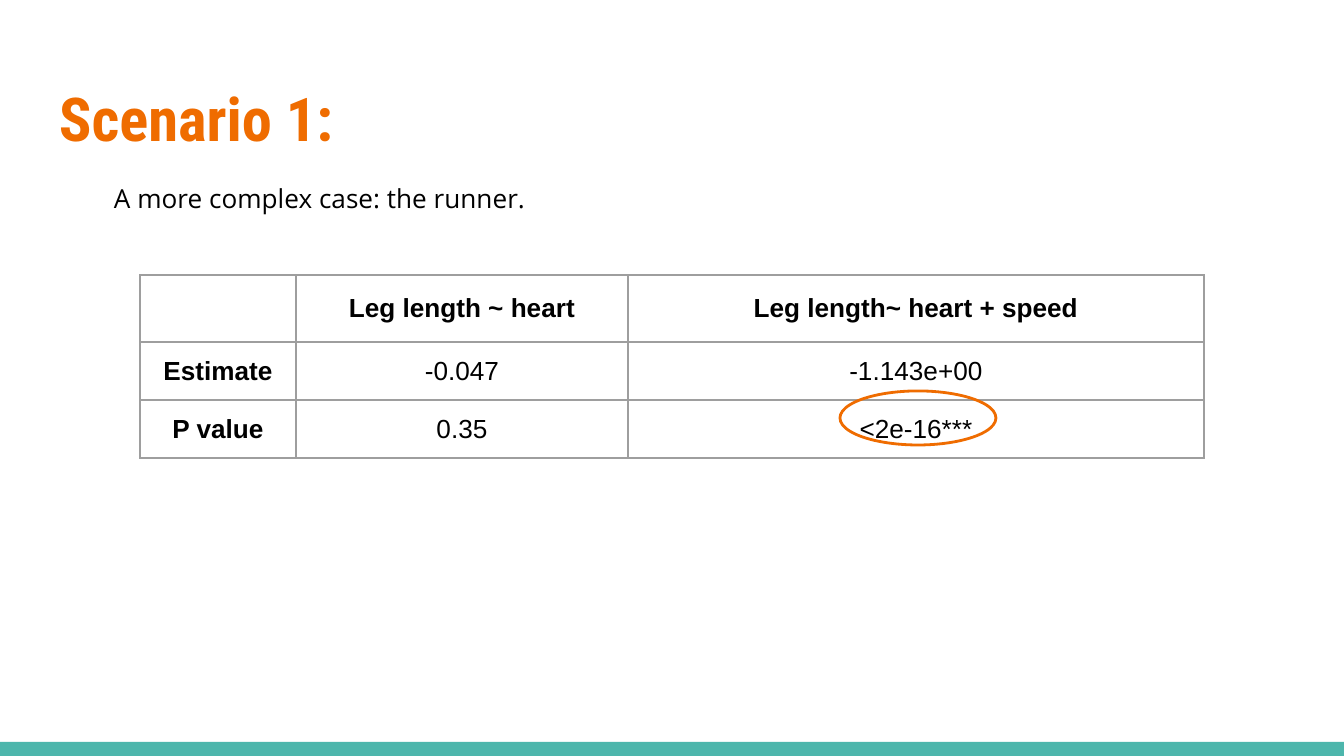
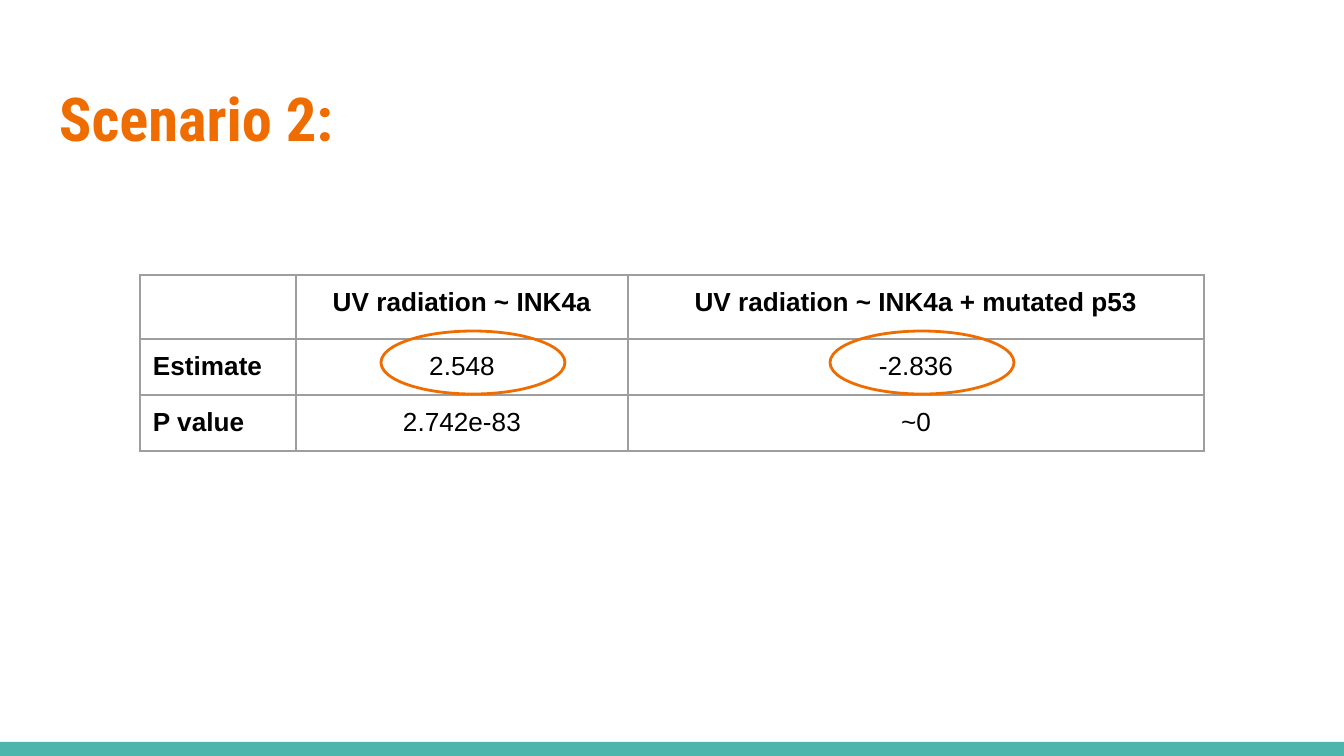
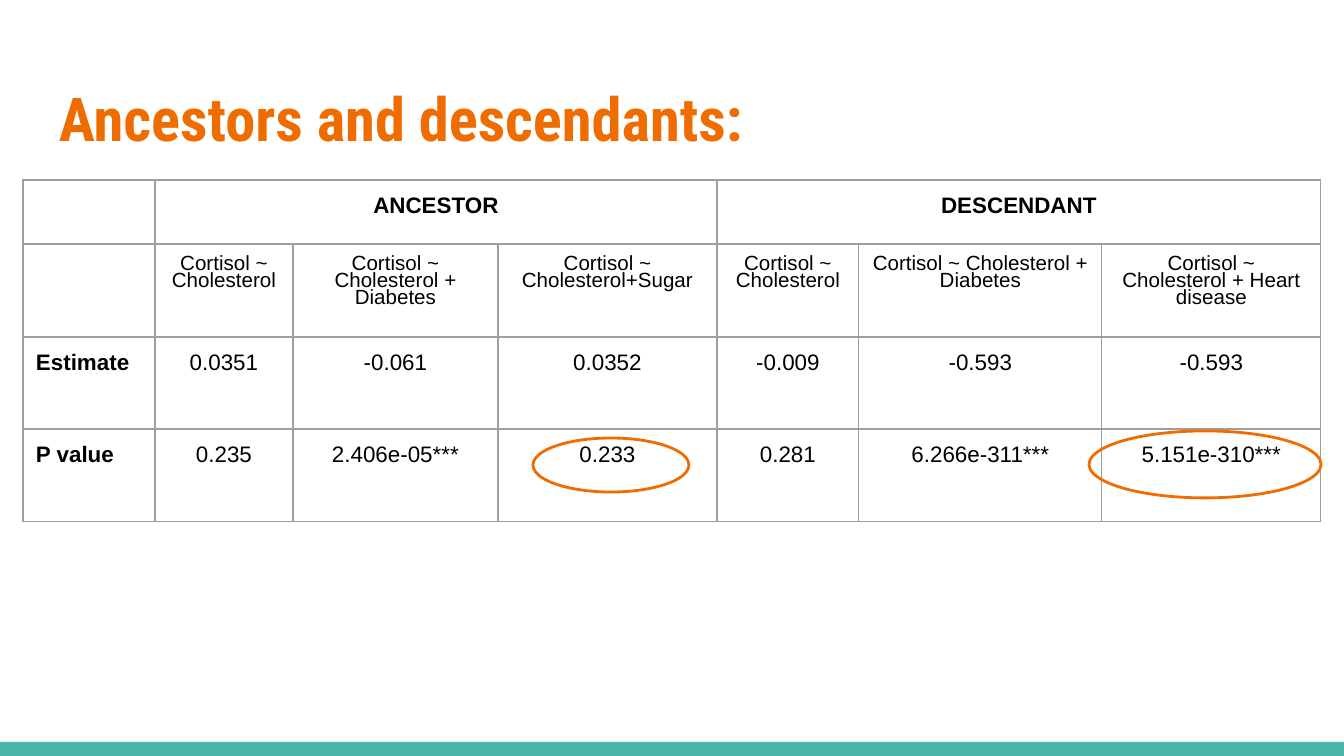
from pptx import Presentation
from pptx import util as u
from pptx.dml.color import RGBColor
from pptx.enum import shapes, text
from pptx.oxml import parse_xml
from pptx.oxml.ns import nsdecls

SCALE = 9144000 / 1344
WIDTH, HEIGHT = 1344, 756
INSET = 13

WHITE = RGBColor(0xFF, 0xFF, 0xFF)
BLACK = RGBColor(0x00, 0x00, 0x00)
ORANGE = RGBColor(0xEF, 0x6C, 0x00)
TEAL = RGBColor(0x4D, 0xB6, 0xAC)
GREY = RGBColor(0x9E, 0x9E, 0x9E)

TITLE_FONT = {"name": "Roboto Condensed", "size": u.Pt(32.4), "bold": True}
BODY_FONT = {"name": "Open Sans", "size": u.Pt(14)}

LEFT, CENTER = text.PP_ALIGN.LEFT, text.PP_ALIGN.CENTER
TOP, MIDDLE = text.MSO_ANCHOR.TOP, text.MSO_ANCHOR.MIDDLE

SCENARIO_COLS = (156, 332, 576)
SCENARIO_AT = (140, 275)

RUNNER_ROWS = (
    ("", "Leg length ~ heart", "Leg length~ heart + speed"),
    ("Estimate", "-0.047", "-1.143e+00"),
    ("P value", "0.35", "<2e-16***"),
)
UV_ROWS = (
    ("", "UV radiation ~ INK4a", "UV radiation ~ INK4a + mutated p53"),
    ("Estimate", "2.548", "-2.836"),
    ("P value", "2.742e-83", "~0"),
)
CORTISOL_ROWS = (
    ("", "ANCESTOR", "", "", "DESCENDANT", "", ""),
    ("", "Cortisol ~ Cholesterol", "Cortisol ~ Cholesterol + Diabetes",
     "Cortisol ~ Cholesterol+Sugar", "Cortisol ~ Cholesterol",
     "Cortisol ~ Cholesterol + Diabetes",
     "Cortisol ~ Cholesterol + Heart disease"),
    ("Estimate", "0.0351", "-0.061", "0.0352", "-0.009", "-0.593", "-0.593"),
    ("P value", "0.235", "2.406e-05***", "0.233", "0.281", "6.266e-311***",
     "5.151e-310***"),
)


def px(n):
    return u.Emu(round(n * SCALE))


def apply(obj, values):
    for name, value in values.items():
        setattr(obj, name, value)


def set_insets(frame):
    for side in ("left", "right", "top", "bottom"):
        setattr(frame, f"margin_{side}", px(INSET))


def write(tf, words, font, color, align=LEFT, spacing=None):
    p = tf.paragraphs[0]
    p.alignment = align
    if spacing:
        p.line_spacing = spacing
    r = p.add_run()
    r.text = words
    apply(r.font, font)
    r.font.color.rgb = color


def add_title(slide, words):
    sp = slide.shapes.title
    apply(sp, {"left": px(46), "top": px(66), "width": px(1252), "height": px(103)})
    tf = sp.text_frame
    set_insets(tf)
    apply(tf, {"vertical_anchor": MIDDLE, "word_wrap": True,
               "auto_size": text.MSO_AUTO_SIZE.NONE})
    write(tf, words, TITLE_FONT, ORANGE)


def add_caption(slide, words, x, y, w, h):
    tf = slide.shapes.add_textbox(px(x), px(y), px(w), px(h)).text_frame
    set_insets(tf)
    tf.word_wrap = True
    write(tf, words, BODY_FONT, BLACK)


def add_border(cell):
    tc_pr = cell._tc.get_or_add_tcPr()
    for i, side in enumerate(("lnL", "lnR", "lnT", "lnB")):
        tc_pr.insert(i, parse_xml(
            f'<a:{side} {nsdecls("a")} w="{u.Pt(0.75)}"><a:solidFill>'
            f'<a:srgbClr val="{GREY}"/></a:solidFill></a:{side}>'))


def add_table(slide, at, cols, heights, rows, size=14, anchor=TOP,
              label_align=LEFT, merges=(), model_row=None):
    frame = slide.shapes.add_table(len(rows), len(cols), px(at[0]), px(at[1]),
                                   px(sum(cols)), px(sum(heights)))
    table = frame.table
    apply(table, {"first_row": False, "horz_banding": False})
    for column, width in zip(table.columns, cols):
        column.width = px(width)
    for row, height in zip(table.rows, heights):
        row.height = px(height)
    for i, row in enumerate(rows):
        for j, words in enumerate(row):
            cell = table.cell(i, j)
            cell.fill.background()
            add_border(cell)
            if not words:
                apply(cell, {"margin_top": 0, "margin_bottom": 0})
                continue
            set_insets(cell)
            cell.vertical_anchor = anchor
            is_model = i == model_row
            font = {"name": "Arial", "size": u.Pt(11 if is_model else size),
                    "bold": i == 0 or j == 0}
            write(cell.text_frame, words, font, BLACK,
                  CENTER if j else label_align, 0.75 if is_model else None)
    for first, last in merges:
        table.cell(0, first).merge(table.cell(0, last))


def add_highlight(slide, x, y, w, h):
    sp = slide.shapes.add_shape(shapes.MSO_SHAPE.OVAL, px(x), px(y), px(w), px(h))
    sp.shadow.inherit = False
    sp.fill.background()
    sp.line.color.rgb = ORANGE
    sp.line.width = u.Pt(1.5)


def add_master_band(prs, slide):
    sp = slide.shapes.add_shape(shapes.MSO_SHAPE.RECTANGLE, 0, px(742),
                                px(WIDTH), px(HEIGHT - 742))
    sp.shadow.inherit = False
    sp.fill.solid()
    sp.fill.fore_color.rgb = TEAL
    sp.line.fill.background()
    sp.element.nvSpPr.cNvPr.set("id", "20")
    prs.slide_master.element.cSld.spTree.insert(2, sp.element)


def add_slide(prs, title):
    slide = prs.slides.add_slide(prs.slide_layouts[5])
    add_title(slide, title)
    return slide


def main():
    prs = Presentation()
    apply(prs, {"slide_width": px(WIDTH), "slide_height": px(HEIGHT)})
    fill = prs.slide_master.background.fill
    fill.solid()
    fill.fore_color.rgb = WHITE

    runner = add_slide(prs, "Scenario 1:")
    add_master_band(prs, runner)
    add_caption(runner, "A more complex case: the runner.", 101, 169, 806, 59)
    add_table(runner, SCENARIO_AT, SCENARIO_COLS, (67, 58, 58), RUNNER_ROWS,
              anchor=MIDDLE, label_align=CENTER)
    add_highlight(runner, 840, 391, 156, 54)

    uv = add_slide(prs, "Scenario 2:")
    add_table(uv, SCENARIO_AT, SCENARIO_COLS, (64, 56, 56), UV_ROWS)
    for x in (381, 830):
        add_highlight(uv, x, 331, 184, 63)

    cortisol = add_slide(prs, "Ancestors and descendants:")
    add_table(cortisol, (23, 180), (132, 138, 205, 219, 142, 243, 219),
              (64, 93, 92, 93), CORTISOL_ROWS, size=12,
              merges=((1, 3), (4, 6)), model_row=1)
    add_highlight(cortisol, 533, 438, 156, 54)
    add_highlight(cortisol, 1089, 431, 232, 67)

    prs.save("out.pptx")


if __name__ == "__main__":
    main()
